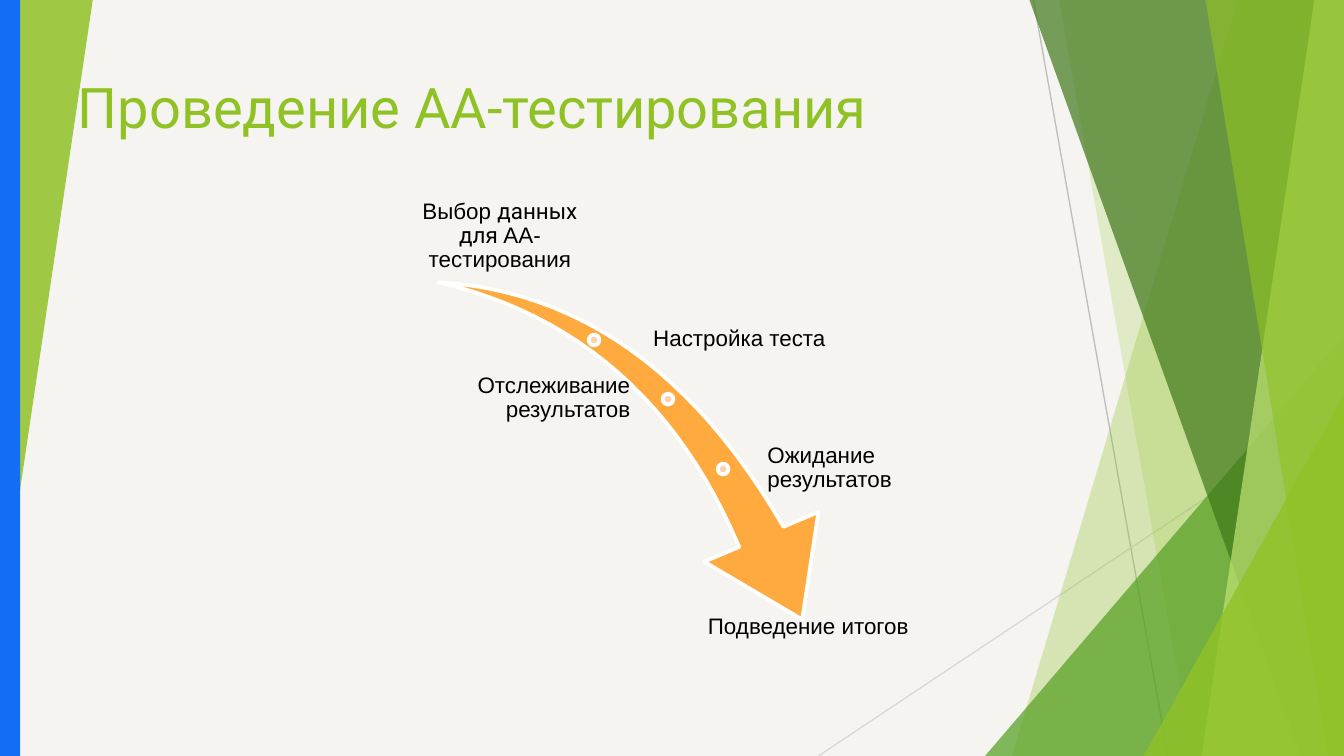
from dataclasses import dataclass

from lxml import etree
from pptx import Presentation
from pptx.dml.color import RGBColor
from pptx.enum.shapes import MSO_CONNECTOR, MSO_SHAPE
from pptx.enum.text import MSO_ANCHOR, MSO_AUTO_SIZE, PP_ALIGN
from pptx.oxml.ns import qn
from pptx.util import Inches, Pt

STRAIGHT = MSO_CONNECTOR.STRAIGHT
TRIANGLE, OVAL, RECT = MSO_SHAPE.ISOSCELES_TRIANGLE, MSO_SHAPE.OVAL, MSO_SHAPE.RECTANGLE
TOP, MIDDLE, BOTTOM = MSO_ANCHOR.TOP, MSO_ANCHOR.MIDDLE, MSO_ANCHOR.BOTTOM
LEFT, CENTER, RIGHT = PP_ALIGN.LEFT, PP_ALIGN.CENTER, PP_ALIGN.RIGHT

PAPER = RGBColor(0xF5, 0xF4, 0xF0)
LIME = RGBColor(0x90, 0xC2, 0x26)
GREEN = RGBColor(0x54, 0xA0, 0x21)
FOREST = RGBColor(0x3F, 0x78, 0x19)
PALE_LIME = RGBColor(0xC0, 0xE4, 0x74)
GRAY = RGBColor(0xBF, 0xBF, 0xBF)
LIGHT_GRAY = RGBColor(0xD9, 0xD9, 0xD9)
ORANGE = RGBColor(0xFF, 0xAA, 0x3F)
PEACH = RGBColor(0xFF, 0xD2, 0xAE)
BLUE = RGBColor(0x13, 0x6E, 0xF6)
WHITE = RGBColor(0xFF, 0xFF, 0xFF)
BLACK = RGBColor(0, 0, 0)

COLUMNS, ROWS = 100, 56.25
CELL = Inches(10) / COLUMNS
CURVE_STEPS = 24
DOT = 0.8
LABEL_HEIGHT = 5.9


@dataclass
class Ray:
    x1: float
    y1: float
    x2: float
    y2: float
    color: RGBColor


@dataclass
class Band:
    top: float
    bottom: float
    color: RGBColor
    opacity: int


@dataclass
class Wedge:
    x: float
    y: float
    w: float
    h: float
    color: RGBColor
    opacity: int
    rotation: int = 0


@dataclass
class Label:
    x: float
    y: float
    w: float
    runs: list[tuple[str, str]]
    align: PP_ALIGN
    anchor: MSO_ANCHOR


RAYS = [Ray(76.9, 0, 86.9, ROWS, GRAY), Ray(COLUMNS, 30.2, 60.9, ROWS, LIGHT_GRAY)]
DECOR = [
    Band(92.1, 75.3, LIME, 30),
    Band(78.8, 88.7, LIME, 20),
    Wedge(73.3, 25, 26.7, 31.25, GREEN, 72),
    Band(76.6, 96.8, FOREST, 70),
    Band(97.8, 89.4, PALE_LIME, 70),
    Band(89.7, 98.8, LIME, 65),
    Wedge(85.1, 29.4, 14.9, 26.85, LIME, 80),
    Wedge(0, 0, 6.9, 46.5, LIME, 85, 180),
]
UPPER_CURVE = [(32.6, 21), (43, 21.6), (51.6, 27.6), (58.3, 39.2)]
ARROW_HEAD = [(60.9, 38.1), (59.7, 46.1), (52.4, 41.8)]
LOWER_CURVE = [(55, 40.7), (50.5, 30), (43, 23.4), (32.6, 21)]
DOTS = [(43.8, 24.9), (49.3, 29.3), (53.4, 34.5)]
LABELS = [
    Label(29.7, 14.6, 15, [("Выбор ", "Arial"), ("данных для ", "Roboto"),
                           ("АА-тестирования", "Arial")], CENTER, BOTTOM),
    Label(48.4, 22.3, 21.9, [("Настройка теста", "Arial")], LEFT, MIDDLE),
    Label(29.7, 26.7, 17.4, [("Отслеживание результатов", "Arial")], RIGHT, MIDDLE),
    Label(56.9, 31.9, 13.4, [("Ожидание результатов", "Arial")], LEFT, MIDDLE),
    Label(50, 45.6, 20.3, [("Подведение итогов", "Arial")], CENTER, TOP),
]


def grid(*values: float) -> list[int]:
    return [round(v * CELL) for v in values]


def paint(sp, color: RGBColor, opacity: int = 100, outlined: bool = False) -> None:
    sp.shadow.inherit = False
    sp.fill.solid()
    sp.fill.fore_color.rgb = color
    if opacity < 100:
        clr = sp.fill._xPr.find(".//" + qn("a:srgbClr"))
        etree.SubElement(clr, qn("a:alpha")).set("val", str(opacity * 1000))
    if outlined:
        sp.line.color.rgb = WHITE
        sp.line.width = Pt(2)
    else:
        sp.line.fill.background()


def polygon(s, points: list[tuple[float, float]]):
    first, *rest = [tuple(grid(*pt)) for pt in points]
    builder = s.shapes.build_freeform(*first, scale=1.0)
    builder.add_line_segments(rest, close=True)
    return builder.convert_to_shape()


def bezier(points: list[tuple[float, float]]) -> list[tuple[float, float]]:
    curve = []
    for i in range(CURVE_STEPS + 1):
        t = i / CURVE_STEPS
        weights = ((1 - t) ** 3, 3 * t * (1 - t) ** 2, 3 * t ** 2 * (1 - t), t ** 3)
        curve.append(tuple(sum(k * pt[axis] for k, pt in zip(weights, points))
                           for axis in (0, 1)))
    return curve


def draw_ray(s, ray: Ray) -> None:
    line = s.shapes.add_connector(STRAIGHT, *grid(ray.x1, ray.y1, ray.x2, ray.y2))
    line.line.color.rgb = ray.color
    line.line.width = Pt(0.75)
    etree.SubElement(line._element.spPr, qn("a:effectLst"))


def draw_decor(s, item: Band | Wedge) -> None:
    if isinstance(item, Band):
        sp = polygon(s, [(item.top, 0), (COLUMNS, 0), (COLUMNS, ROWS), (item.bottom, ROWS)])
    else:
        sp = s.shapes.add_shape(TRIANGLE, *grid(item.x, item.y, item.w, item.h))
        sp.adjustments[0] = 1
        sp.rotation = item.rotation
    paint(sp, item.color, item.opacity)


def draw_label(s, label: Label) -> None:
    tf = s.shapes.add_textbox(*grid(label.x, label.y, label.w, LABEL_HEIGHT)).text_frame
    tf.word_wrap = True
    tf.vertical_anchor = label.anchor
    tf.margin_left = tf.margin_right = tf.margin_top = tf.margin_bottom = Inches(0.02)
    p = tf.paragraphs[0]
    p.alignment = label.align
    p.line_spacing = 0.9
    for text, font in label.runs:
        r = p.add_run()
        r.text = text
        r.font.name = font
        r.font.size = Pt(12)
        r.font.color.rgb = BLACK


def draw_title(s, text: str) -> None:
    title = s.shapes.title
    title.left, title.top, title.width, title.height = grid(4.8, 4.4, 66.2, 10.2)
    tf = title.text_frame
    tf.text = text
    tf.word_wrap = True
    tf.auto_size = MSO_AUTO_SIZE.NONE
    tf.vertical_anchor = TOP
    tf.margin_left = tf.margin_right = tf.margin_top = tf.margin_bottom = Inches(0.1)
    p = tf.paragraphs[0]
    p.alignment = LEFT
    font = p.runs[0].font
    font.name, font.size = "Roboto", Pt(30)
    font.color.rgb = LIME
    s.shapes._spTree.append(title._element)


def main() -> None:
    prs = Presentation()
    prs.slide_width, prs.slide_height = grid(COLUMNS, ROWS)
    s = prs.slides.add_slide(prs.slide_layouts[5])
    s.background.fill.solid()
    s.background.fill.fore_color.rgb = PAPER

    for ray in RAYS:
        draw_ray(s, ray)
    for item in DECOR:
        draw_decor(s, item)
    draw_title(s, "Проведение АА-тестирования")

    arrow = polygon(s, bezier(UPPER_CURVE) + ARROW_HEAD + bezier(LOWER_CURVE)[:-1])
    paint(arrow, ORANGE, outlined=True)
    for x, y in DOTS:
        paint(s.shapes.add_shape(OVAL, *grid(x, y, DOT, DOT)), PEACH, outlined=True)
    for label in LABELS:
        draw_label(s, label)
    paint(s.shapes.add_shape(RECT, *grid(0, 0, 1.5, ROWS)), BLUE)
    prs.save("out.pptx")


if __name__ == "__main__":
    main()
